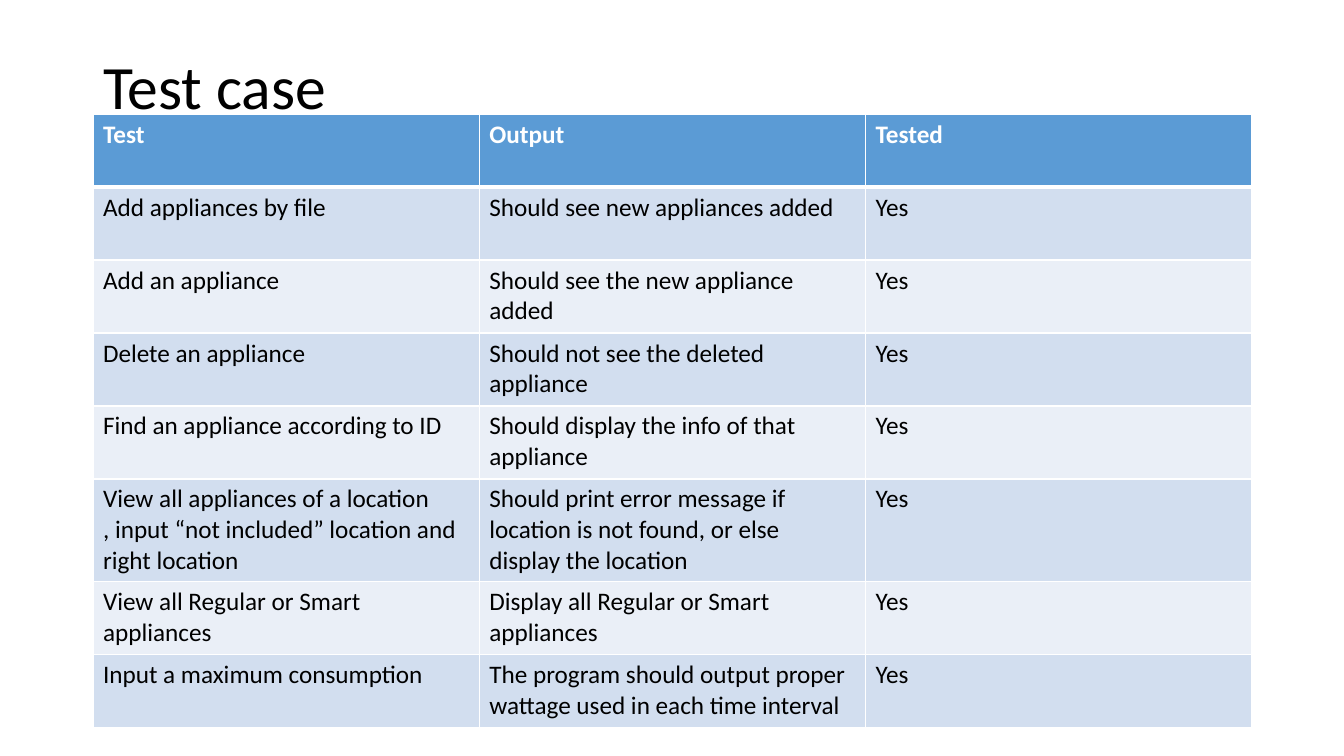
"""Build the test case slide: a title above a table of tests."""
from lxml import etree
from pptx import Presentation
from pptx import util as u
from pptx.dml.color import RGBColor
from pptx.enum import text
from pptx.oxml import ns

TITLE = "Test case"
HEAD = ("Test", "Output", "Tested")
TESTS = [
    ("Add appliances by file", "Should see new appliances added"),
    ("Add an appliance", "Should see the new appliance added"),
    ("Delete an appliance", "Should not see the deleted appliance"),
    ("Find an appliance according to ID",
     "Should display the info of that appliance"),
    ("View all appliances of a location\n"
     ", input “not included” location and right location",
     "Should print error message if location is not found, "
     "or else display the location"),
    ("View all Regular or Smart appliances",
     "Display all Regular or Smart appliances"),
    ("Input a maximum consumption",
     "The program should output proper wattage used in each time interval"),
]
RESULT = "Yes"
FONT = "Calibri"
WHITE, BLACK, BLUE = "FFFFFF", "000000", "5B9BD5"
BANDS = ("EAEFF7", "D2DEEF")
SLIDE = (1344, 756)
LEFT, WIDTH = 93, 1159
TITLE_TOP, TITLE_HIGH = 40, 99
TABLE_TOP, ROW_HIGH = 114, 73


def px(size):
    """Turn slide pixels into EMU."""
    return u.Emu(round(size * 914400 / 100.8))


def color(code):
    """Turn a hex string into a colour."""
    return RGBColor.from_string(code)


def style(frame, size, code, bold=False):
    """Format every run of a text frame."""
    for par in frame.paragraphs:
        for run in par.runs:
            run.font.name, run.font.size = FONT, u.Pt(size)
            run.font.bold = bold
            run.font.color.rgb = color(code)


def border(cell, side, width):
    """Draw one white edge of a cell."""
    line = etree.SubElement(cell._tc.get_or_add_tcPr(), ns.qn("a:ln" + side),
                            w=str(u.Pt(width)))
    fill = etree.SubElement(line, ns.qn("a:solidFill"))
    etree.SubElement(fill, ns.qn("a:srgbClr"), val=WHITE)


def add_title(slide):
    """Place and format the title."""
    title = slide.shapes.title
    title.left, title.top = px(LEFT), px(TITLE_TOP)
    title.width, title.height = px(WIDTH), px(TITLE_HIGH)
    frame = title.text_frame
    frame.text = TITLE
    frame.vertical_anchor = text.MSO_ANCHOR.MIDDLE
    frame.paragraphs[0].alignment = text.PP_ALIGN.LEFT
    frame.paragraphs[0].line_spacing = 0.9
    style(frame, 44, BLACK)


def add_tests(slide):
    """Fill the table of tests."""
    rows = [HEAD] + [test + (RESULT,) for test in TESTS]
    table = slide.shapes.add_table(
        len(rows), len(HEAD), px(LEFT), px(TABLE_TOP),
        px(WIDTH), px(ROW_HIGH * len(rows))).table
    for r, row in enumerate(rows):
        head = r == 0
        for c, words in enumerate(row):
            cell = table.cell(r, c)
            cell.text_frame.text = words
            style(cell.text_frame, 18, WHITE if head else BLACK, head)
            edges = {"L": 1, "R": 1, "T": 3 if r == 1 else 1,
                     "B": 3 if head else 1}
            for side, width in edges.items():
                border(cell, side, width)
            cell.fill.solid()
            cell.fill.fore_color.rgb = color(BLUE if head else BANDS[r % 2])


def main():
    """Build and save the slide."""
    deck = Presentation()
    deck.slide_width, deck.slide_height = map(px, SLIDE)
    slide = deck.slides.add_slide(deck.slide_layouts[5])
    add_title(slide)
    add_tests(slide)
    deck.save("out.pptx")


if __name__ == "__main__":
    main()
